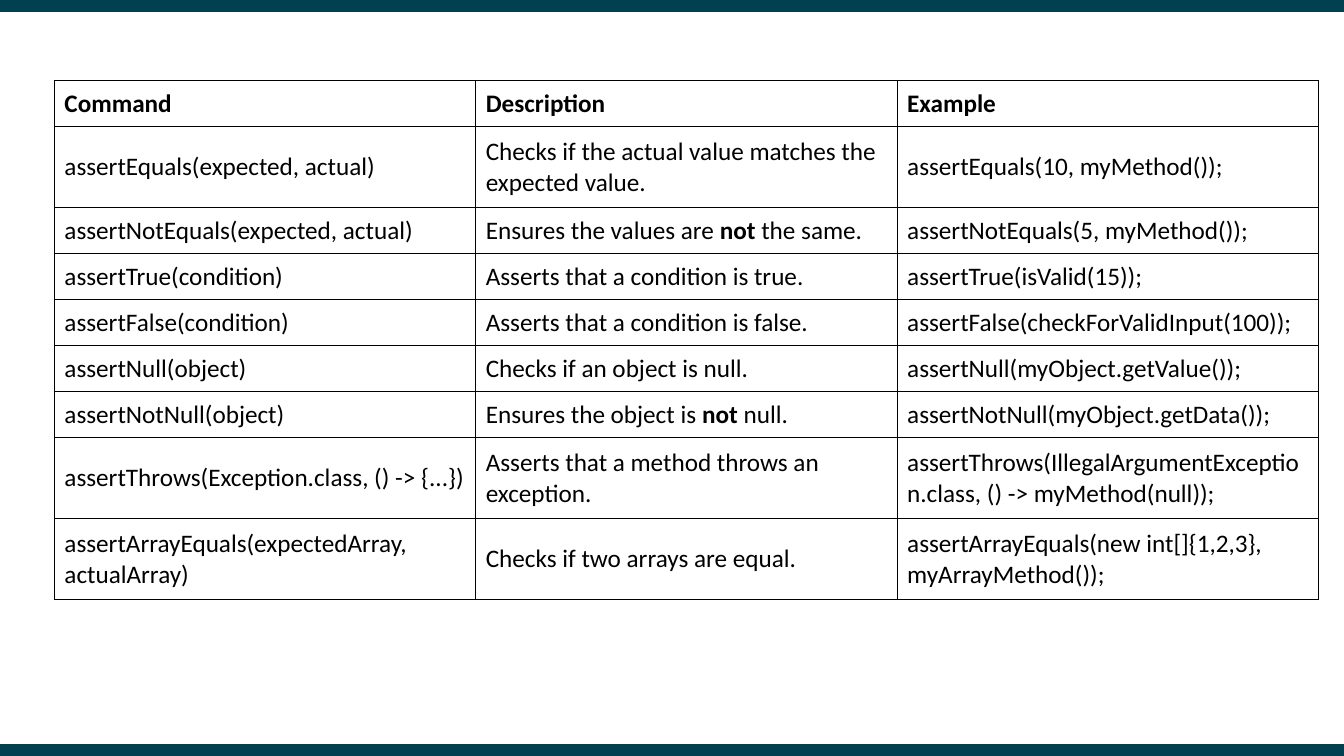
from lxml.etree import SubElement
from pptx import Presentation
from pptx.dml.color import RGBColor
from pptx.enum.shapes import MSO_CONNECTOR as Connector
from pptx.enum.text import MSO_ANCHOR as Anchor
from pptx.oxml import parse_xml
from pptx.oxml.ns import nsdecls, qn
from pptx.util import Cm, Pt

# Asterisks mark bold words.
HEADERS = ("Command", "Description", "Example")
ASSERTIONS = [
    ("assertEquals(expected, actual)",
     "Checks if the actual value matches the expected value.",
     "assertEquals(10, myMethod());"),
    ("assertNotEquals(expected, actual)",
     "Ensures the values are *not* the same.",
     "assertNotEquals(5, myMethod());"),
    ("assertTrue(condition)",
     "Asserts that a condition is true.",
     "assertTrue(isValid(15));"),
    ("assertFalse(condition)",
     "Asserts that a condition is false.",
     "assertFalse(checkForValidInput(100));"),
    ("assertNull(object)",
     "Checks if an object is null.",
     "assertNull(myObject.getValue());"),
    ("assertNotNull(object)",
     "Ensures the object is *not* null.",
     "assertNotNull(myObject.getData());"),
    ("assertThrows(Exception.class, () -> {...})",
     "Asserts that a method throws an exception.",
     "assertThrows(IllegalArgumentException.class, () -> myMethod(null));"),
    ("assertArrayEquals(expectedArray, actualArray)",
     "Checks if two arrays are equal.",
     "assertArrayEquals(new int[]{1,2,3}, myArrayMethod());"),
]
TWO_LINE_ROWS = {1, 7, 8}

COLORS = {"bar": "004050", "text": "000000", "border": "000000"}
FONT, FONT_SIZE = "Calibri", Pt(18)
SLIDE_W, SLIDE_H = Cm(33.87), Cm(19.05)
BAR_INSET, BAR_WEIGHT = Cm(0.15), Pt(9)
TABLE_LEFT, TABLE_TOP = Cm(1.37), Cm(2.03)
COLUMN_W = Cm(10.62)
ONE_LINE_H, TWO_LINE_H = Cm(1.16), Cm(2.04)


def add_bar(slide, y):
    bar = slide.shapes.add_connector(Connector.STRAIGHT, 0, y, SLIDE_W, y)
    bar.line.color.rgb = RGBColor.from_string(COLORS["bar"])
    bar.line.width = BAR_WEIGHT
    SubElement(bar._element.spPr, qn("a:effectLst"))


def add_borders(cell):
    tc_pr = cell._tc.get_or_add_tcPr()
    for i, side in enumerate("LRTB"):
        tc_pr.insert(i, parse_xml(
            f'<a:ln{side} {nsdecls("a")} w="{Pt(1)}"><a:solidFill>'
            f'<a:srgbClr val="{COLORS["border"]}"/></a:solidFill></a:ln{side}>'))


def fill_cell(cell, text, is_header):
    cell.fill.background()
    add_borders(cell)
    cell.vertical_anchor = Anchor.MIDDLE
    p = cell.text_frame.paragraphs[0]
    for i, part in enumerate(text.split("*")):
        r = p.add_run()
        r.text = part
        r.font.name, r.font.size = FONT, FONT_SIZE
        r.font.bold = is_header or i % 2 == 1
        r.font.color.rgb = RGBColor.from_string(COLORS["text"])


def add_assertion_table(slide):
    rows = [HEADERS, *ASSERTIONS]
    heights = [TWO_LINE_H if i in TWO_LINE_ROWS else ONE_LINE_H
               for i in range(len(rows))]
    table = slide.shapes.add_table(
        len(rows), len(HEADERS), TABLE_LEFT, TABLE_TOP,
        COLUMN_W * len(HEADERS), sum(heights)).table
    table.first_row = table.horz_banding = False
    for column in table.columns:
        column.width = COLUMN_W
    for i, (texts, height) in enumerate(zip(rows, heights)):
        table.rows[i].height = height
        for j, text in enumerate(texts):
            fill_cell(table.cell(i, j), text, is_header=i == 0)


def main():
    prs = Presentation()
    prs.slide_width, prs.slide_height = SLIDE_W, SLIDE_H
    slide = prs.slides.add_slide(prs.slide_layouts[6])
    for y in (BAR_INSET, SLIDE_H - BAR_INSET):
        add_bar(slide, y)
    add_assertion_table(slide)
    prs.save("out.pptx")


if __name__ == "__main__":
    main()
